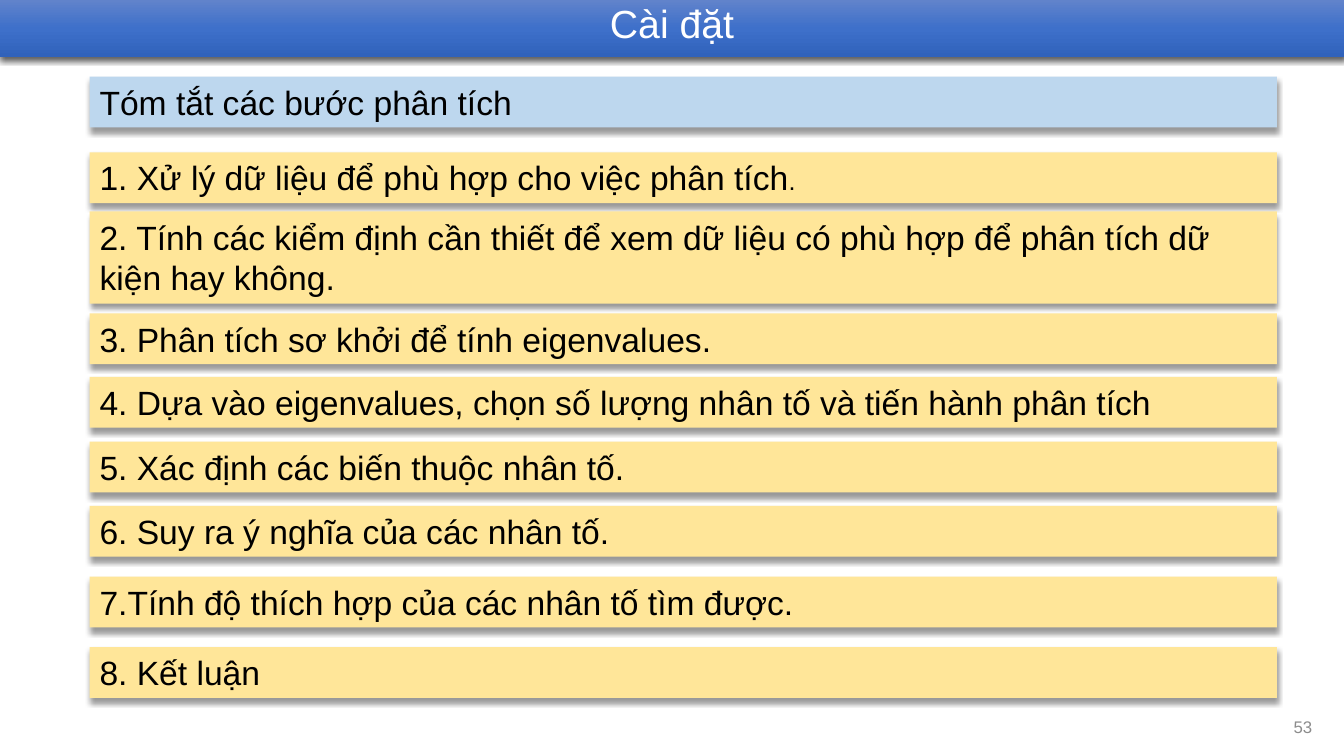
from copy import deepcopy

from lxml import etree
from pptx import Presentation
from pptx.dml.color import RGBColor
from pptx.enum.shapes import MSO_SHAPE
from pptx.enum.text import MSO_ANCHOR, MSO_AUTO_SIZE, PP_ALIGN
from pptx.oxml.ns import qn
from pptx.util import Cm, Pt

RECTANGLE = MSO_SHAPE.RECTANGLE
TOP, MIDDLE = MSO_ANCHOR.TOP, MSO_ANCHOR.MIDDLE
LEFT, CENTER, RIGHT = PP_ALIGN.LEFT, PP_ALIGN.CENTER, PP_ALIGN.RIGHT
NO_FIT, GROW = MSO_AUTO_SIZE.NONE, MSO_AUTO_SIZE.SHAPE_TO_FIT_TEXT

FONT = "Arial"
COLORS = {
    "text": "000000",
    "title": "FFFFFF",
    "number": "8C8C8C",
    "shadow": "000000",
    "heading": "BDD7EE",
    "step": "FFE699",
}
TITLE_GRADIENT = [(0, "6183CB"), (0.5, "3E70CA"), (1, "3062BB")]

SLIDE_WIDTH = Cm(33.87)
BAR_LEFT, BAR_WIDTH = Cm(2.26), Cm(29.92)
ONE_LINE, TWO_LINES = Cm(1.28), Cm(2.32)

# Top in cm, height, runs as (text, size)
STEPS = [
    (3.84, ONE_LINE, [("1. Xử lý dữ liệu để phù hợp cho việc phân tích", 24), (".", 18)]),
    (5.33, TWO_LINES, [("2. Tính các kiểm định cần thiết để xem dữ liệu có phù hợp "
                        "để phân tích dữ kiện hay không.", 24)]),
    (7.9, ONE_LINE, [("3. Phân tích sơ khởi để tính eigenvalues.", 24)]),
    (9.5, ONE_LINE, [("4. Dựa vào eigenvalues, chọn số lượng nhân tố "
                      "và tiến hành phân tích", 24)]),
    (11.13, ONE_LINE, [("5. Xác định các biến thuộc nhân tố.", 24)]),
    (12.75, ONE_LINE, [("6. Suy ra ý nghĩa của các nhân tố.", 24)]),
    (14.53, ONE_LINE, [("7.Tính độ thích hợp của các nhân tố tìm được.", 24)]),
    (16.31, ONE_LINE, [("8. Kết luận", 24)]),
]


def write_text(shape, runs, color, align, anchor, auto_size=NO_FIT):
    frame = shape.text_frame
    frame.word_wrap = True
    frame.auto_size = auto_size
    frame.vertical_anchor = anchor
    paragraph = frame.paragraphs[0]
    paragraph.alignment = align
    for text, size in runs:
        run = paragraph.add_run()
        run.text = text
        run.font.name = FONT
        run.font.size = Pt(size)
        run.font.color.rgb = RGBColor.from_string(COLORS[color])
    return paragraph


def add_shadow(shape, opacity, blur, distance):
    """Cast a shadow straight down; blur and distance are in points."""
    shape.shadow.inherit = False
    effects = shape._element.spPr.find(qn("a:effectLst"))
    shadow = etree.SubElement(
        effects, qn("a:outerShdw"), blurRad=str(Pt(blur)), dist=str(Pt(distance)),
        dir="5400000", algn="t", rotWithShape="0")
    color = etree.SubElement(shadow, qn("a:srgbClr"), val=COLORS["shadow"])
    etree.SubElement(color, qn("a:alpha"), val=str(opacity * 1000))


def fill_gradient(shape, stops):
    fill = shape.fill
    fill.gradient()
    fill.gradient_angle = 270
    stop_list = shape._element.spPr.find(qn("a:gradFill")).find(qn("a:gsLst"))
    while len(stop_list) < len(stops):
        stop_list.append(deepcopy(stop_list[0]))
    for stop, (position, color) in zip(fill.gradient_stops, stops):
        stop.position = position
        stop.color.rgb = RGBColor.from_string(color)


def format_title(slide, text):
    title = slide.shapes.title
    title.left, title.top = Cm(0), Cm(0)
    title.width, title.height = SLIDE_WIDTH, Cm(1.43)
    fill_gradient(title, TITLE_GRADIENT)
    add_shadow(title, 63, 4.5, 1.5)
    paragraph = write_text(title, [(text, 28)], "title", CENTER, TOP)
    paragraph.line_spacing = 0.9
    paragraph.space_before = Pt(10)


def add_bar(slide, top, height, runs, color):
    bar = slide.shapes.add_shape(RECTANGLE, BAR_LEFT, Cm(top), BAR_WIDTH, height)
    bar.fill.solid()
    bar.fill.fore_color.rgb = RGBColor.from_string(COLORS[color])
    bar.line.fill.background()
    add_shadow(bar, 40, 4, 3)
    write_text(bar, runs, "text", LEFT, TOP, GROW)


def add_slide_number(slide, number):
    box = slide.shapes.add_textbox(Cm(25.7), Cm(17.8), Cm(7.62), Cm(1.02))
    write_text(box, [(number, 12)], "number", RIGHT, MIDDLE)


def main():
    presentation = Presentation()
    presentation.slide_width = SLIDE_WIDTH
    presentation.slide_height = Cm(19.05)
    slide = presentation.slides.add_slide(presentation.slide_layouts[5])

    # Title band
    format_title(slide, "Cài đặt")

    # Heading and the analysis steps
    add_bar(slide, 1.93, ONE_LINE, [("Tóm tắt các bước phân tích", 24)], "heading")
    for top, height, runs in STEPS:
        add_bar(slide, top, height, runs, "step")

    # Footer
    add_slide_number(slide, "53")

    presentation.save("out.pptx")


if __name__ == "__main__":
    main()
